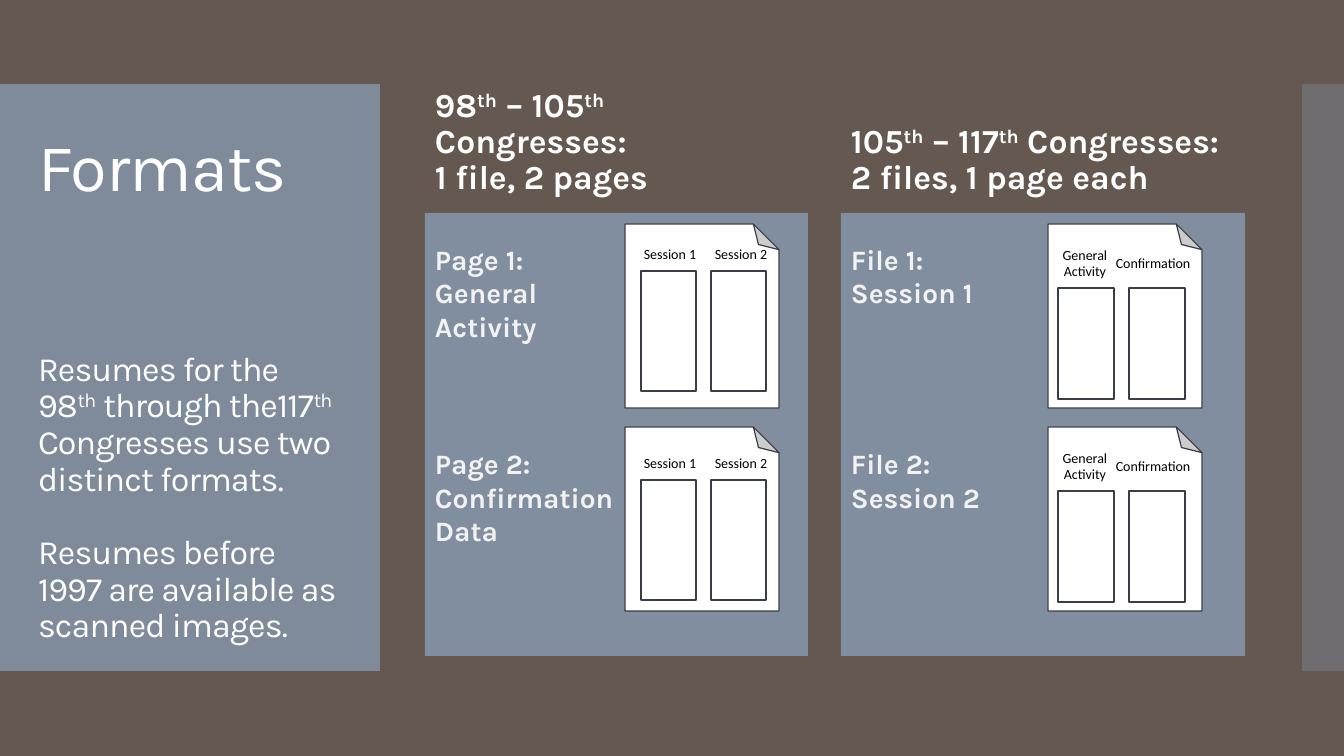
from dataclasses import dataclass

from lxml.etree import SubElement
from pptx import Presentation
from pptx.dml.color import RGBColor
from pptx.enum.shapes import MSO_SHAPE
from pptx.enum.text import MSO_ANCHOR, MSO_AUTO_SIZE, PP_ALIGN
from pptx.oxml.ns import qn
from pptx.util import Pt

SCALE = 914400 / 100.8


@dataclass(frozen=True)
class Theme:
    back: str = "645851"
    panel: str = "818E9F"
    paper: str = "FFFFFF"
    edge: str = "393E46"
    light: str = "FFFFFF"
    soft: str = "F2F2F2"
    ink: str = "000000"
    font: str = "Karla"
    small: str = "Calibri"
    title: float = 47.7
    intro: float = 24.3
    head: float = 24
    card: float = 20
    label: float = 10
    stroke: float = 0.85


THEME = Theme()


def px(*sizes):
    return [round(size * SCALE) for size in sizes]


def write(frame, lines, size, color, font=THEME.font, bold=False, space=1.0,
          align=PP_ALIGN.LEFT, anchor=MSO_ANCHOR.TOP, pad=(10, 5, 10, 5),
          gaps=None, sizes=None, track=0):
    """Fill a frame; ^ toggles superscript, gaps and sizes go by line number."""
    frame.word_wrap = True
    frame.auto_size = MSO_AUTO_SIZE.NONE
    frame.vertical_anchor = anchor
    (frame.margin_left, frame.margin_top,
     frame.margin_right, frame.margin_bottom) = px(*pad)
    for row, line in enumerate(lines):
        para = frame.paragraphs[0] if row == 0 else frame.add_paragraph()
        para.alignment = align
        para.line_spacing = space
        para.space_before = Pt((gaps or {}).get(row, 0))
        para.space_after = Pt(0)
        for part, text in enumerate(line.split("^")):
            if not text:
                continue
            run = para.add_run()
            run.text = text
            run.font.name = font
            run.font.size = Pt((sizes or {}).get(row, size))
            run.font.bold = bold
            run.font.color.rgb = RGBColor.from_string(color)
            props = run._r.get_or_add_rPr()
            if part % 2:
                props.set("baseline", "30000")
            if track:
                props.set("spc", str(track))


def block(slide, box, fill, kind=MSO_SHAPE.RECTANGLE, line=None, alpha=None):
    shape = slide.shapes.add_shape(kind, *px(*box))
    shape.shadow.inherit = False
    shape.fill.solid()
    shape.fill.fore_color.rgb = RGBColor.from_string(fill)
    if alpha:
        tint = shape._element.spPr.find(qn("a:solidFill"))[0]
        SubElement(tint, qn("a:alpha")).set("val", str(alpha * 1000))
    if line:
        shape.line.color.rgb = RGBColor.from_string(line)
        shape.line.width = Pt(THEME.stroke)
    else:
        shape.line.fill.background()
    return shape


def textbox(slide, box, lines, size, color, **style):
    frame = slide.shapes.add_textbox(*px(*box)).text_frame
    write(frame, lines, size, color, **style)


def intro(slide):
    title = slide.shapes.title
    slide.shapes._spTree.append(title._element)  # in front of the panel
    title.left, title.top, title.width, title.height = px(28, 129, 320, 507)
    lines = [
        "Formats",
        "Resumes for the 98^th^ through the117^th^ Congresses use two "
        "distinct formats.",
        "Resumes before 1997 are available as scanned images.",
    ]
    write(title.text_frame, lines, THEME.intro, THEME.light, space=0.9,
          gaps={1: 104, 2: 26}, sizes={0: THEME.title}, track=-60)


def card(slide, left, width, head, first, second):
    textbox(slide, (left, 113, width, 89), head, THEME.head, THEME.light,
            bold=True, space=0.9, anchor=MSO_ANCHOR.BOTTOM)
    shape = block(slide, (left, 213, width, 443), THEME.panel)
    # The second group starts at one height, however long the first is.
    count = len(first)
    write(shape.text_frame, first + second, THEME.card, THEME.soft, bold=True,
          pad=(10, 29, 10, 5), gaps={count: 146 - 24 * count})


def page(slide, left, top, labels, shift, columns):
    """A sheet with a folded top corner; columns is (x, y, w, h, pitch)."""
    sheet = block(slide, (left, top, 154, 184), THEME.paper,
                  MSO_SHAPE.FOLDED_CORNER, THEME.edge)
    sheet.rotation = 180
    sheet._element.spPr.xfrm.set("flipH", "1")
    for lines, mid, center in labels:
        textbox(slide, (left + mid - 45, top + center + shift - 20, 90, 40),
                lines, THEME.label, THEME.ink, font=THEME.small,
                align=PP_ALIGN.CENTER, anchor=MSO_ANCHOR.MIDDLE,
                pad=(0, 0, 0, 0))
    x, y, width, height, pitch = columns
    for column in range(2):
        block(slide, (left + x + column * pitch, top + y, width, height),
              THEME.paper, line=THEME.edge)


def main():
    deck = Presentation()
    deck.slide_width, deck.slide_height = px(1344, 756)
    slide = deck.slides.add_slide(deck.slide_layouts[5])
    slide.background.fill.solid()
    slide.background.fill.fore_color.rgb = RGBColor.from_string(THEME.back)

    block(slide, (0, 84, 380, 587), THEME.panel, alpha=95)
    block(slide, (1302, 84, 42, 587), THEME.panel, alpha=40)
    intro(slide)

    card(slide, 425, 383,
         ["98^th^ – 105^th ^Congresses:", "1 file, 2 pages"],
         ["Page 1:", "General", "Activity"],
         ["Page 2:", "Confirmation", "Data"])
    card(slide, 841, 404,
         ["105^th^ – 117^th^ Congresses:", "2 files, 1 page each"],
         ["File 1:", "Session 1"],
         ["File 2:", "Session 2"])

    sessions = [(["Session 1"], 45, 30), (["Session 2"], 116, 30)]
    topics = [(["General", "Activity"], 37, 39), (["Confirmation"], 105, 39)]
    for top, shift in ((224, 0), (427, 6)):
        page(slide, 625, top, sessions, shift, (16, 47 + shift, 55, 120, 70))
        page(slide, 1048, top, topics, 0, (10, 64, 56, 111, 71))

    deck.save("out.pptx")


if __name__ == "__main__":
    main()
